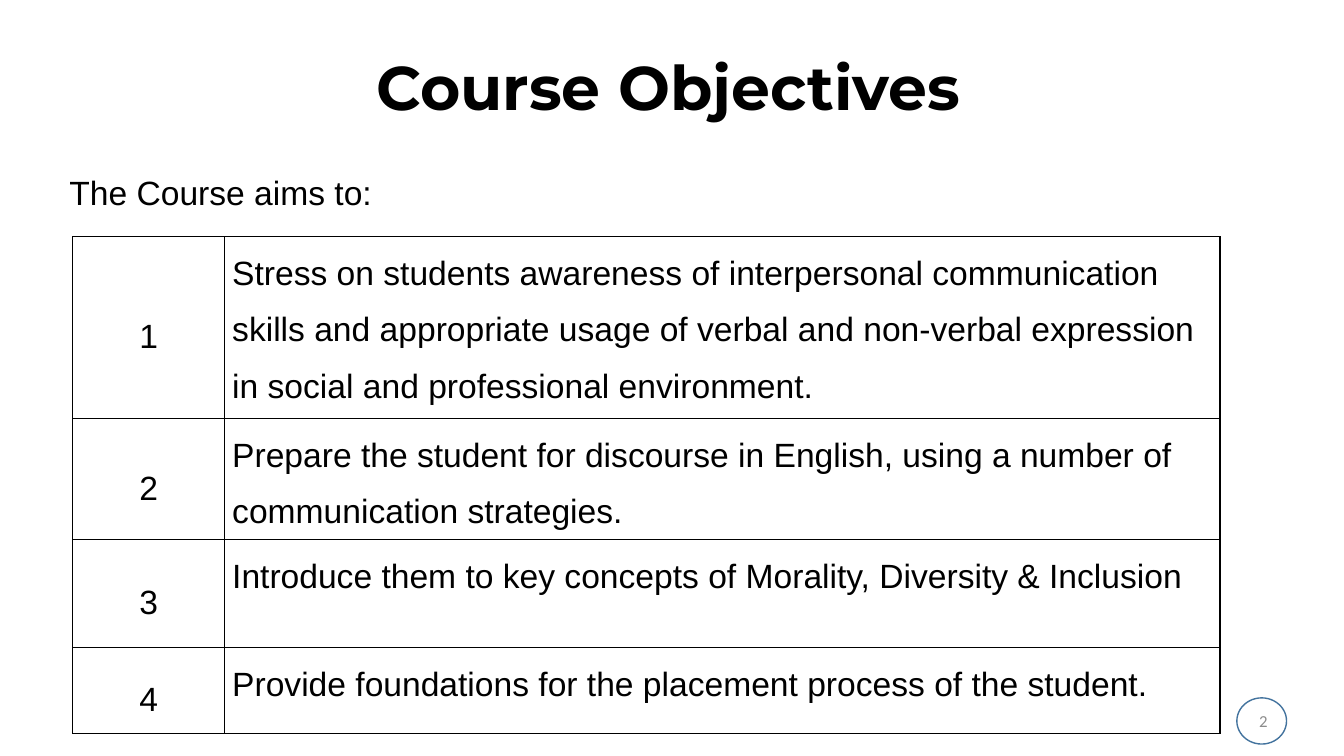
from pptx import Presentation
from pptx.dml.color import RGBColor
from pptx.enum.shapes import MSO_SHAPE
from pptx.enum.text import MSO_ANCHOR, PP_ALIGN
from pptx.oxml import parse_xml
from pptx.oxml.ns import nsdecls
from pptx.util import Pt

OBJECTIVES = [
    "Stress on students awareness of interpersonal communication skills and appropriate "
    "usage of verbal and non-verbal expression in social and professional environment.",
    "Prepare the student for discourse in English, using a number of communication strategies.",
    "Introduce them to key concepts of Morality, Diversity & Inclusion",
    "Provide foundations for the placement process of the student.",
]


def color(value):
    return RGBColor.from_string(value)


def write(tf, text, font="Arial", size=24, fill="000000", bold=False,
          align=PP_ALIGN.LEFT, spacing=1.0):
    p = tf.paragraphs[0]
    p.alignment = align
    p.line_spacing = spacing
    r = p.add_run()
    r.text = text
    r.font.name = font
    r.font.size = Pt(size)
    r.font.bold = bold
    r.font.color.rgb = color(fill)


def add_text(s, box, text, wrap=True, anchor=MSO_ANCHOR.TOP, **fmt):
    tf = s.shapes.add_textbox(*map(Pt, box)).text_frame
    tf.word_wrap = wrap
    tf.vertical_anchor = anchor
    write(tf, text, **fmt)
    return tf


def add_title(s, box):
    tf = add_text(s, box, "Course Objectives", font="Montserrat", size=44, bold=True,
                  align=PP_ALIGN.CENTER, spacing=0.9)
    tf.margin_top = 0


def add_page_number(s, left, top):
    """Number right-aligned in a wide box, ringed near its right end."""
    add_text(s, (left, top, 216, 28.75), "2", anchor=MSO_ANCHOR.MIDDLE, font="Calibri",
             size=12, fill="8C8C8C", align=PP_ALIGN.RIGHT)
    ring = s.shapes.add_shape(MSO_SHAPE.OVAL, Pt(left + 187), Pt(top - 2), Pt(35.5), Pt(33))
    ring.shadow.inherit = False
    ring.fill.background()
    ring.line.color.rgb = color("43739E")
    ring.line.width = Pt(1)


def add_borders(cell):
    tc_pr = cell._tc.get_or_add_tcPr()
    for i, side in enumerate(("lnL", "lnR", "lnT", "lnB")):
        tc_pr.insert(i, parse_xml(
            f'<a:{side} {nsdecls("a")} w="12700"><a:solidFill>'
            f'<a:srgbClr val="000000"/></a:solidFill></a:{side}>'))


def add_objectives(s, left, top, widths, heights):
    table = s.shapes.add_table(len(heights), len(widths), Pt(left), Pt(top),
                               Pt(sum(widths)), Pt(sum(heights))).table
    table.first_row = table.horz_banding = False
    for column, width in zip(table.columns, widths):
        column.width = Pt(width)
    for i, (height, objective) in enumerate(zip(heights, OBJECTIVES)):
        table.rows[i].height = Pt(height)
        columns = ((str(i + 1), PP_ALIGN.CENTER, MSO_ANCHOR.MIDDLE),
                   (objective, PP_ALIGN.LEFT, MSO_ANCHOR.TOP))
        for j, (text, align, anchor) in enumerate(columns):
            cell = table.cell(i, j)
            cell.fill.background()
            cell.margin_left = cell.margin_right = Pt(5.4)
            cell.margin_top = cell.margin_bottom = 0
            cell.vertical_anchor = anchor
            write(cell.text_frame, text, align=align, spacing=1.5)
            add_borders(cell)


def main():
    prs = Presentation()
    prs.slide_width, prs.slide_height = Pt(960), Pt(540)
    s = prs.slides.add_slide(prs.slide_layouts[6])
    add_page_number(s, 696.5, 500.5)
    add_title(s, (170, 41, 615, 103))
    add_text(s, (42.5, 119.5, 232.5, 36), "The Course aims to:", wrap=False)
    add_objectives(s, 52, 169, (108.5, 711), (130, 86.5, 77, 61.5))
    prs.save("out.pptx")


if __name__ == "__main__":
    main()
